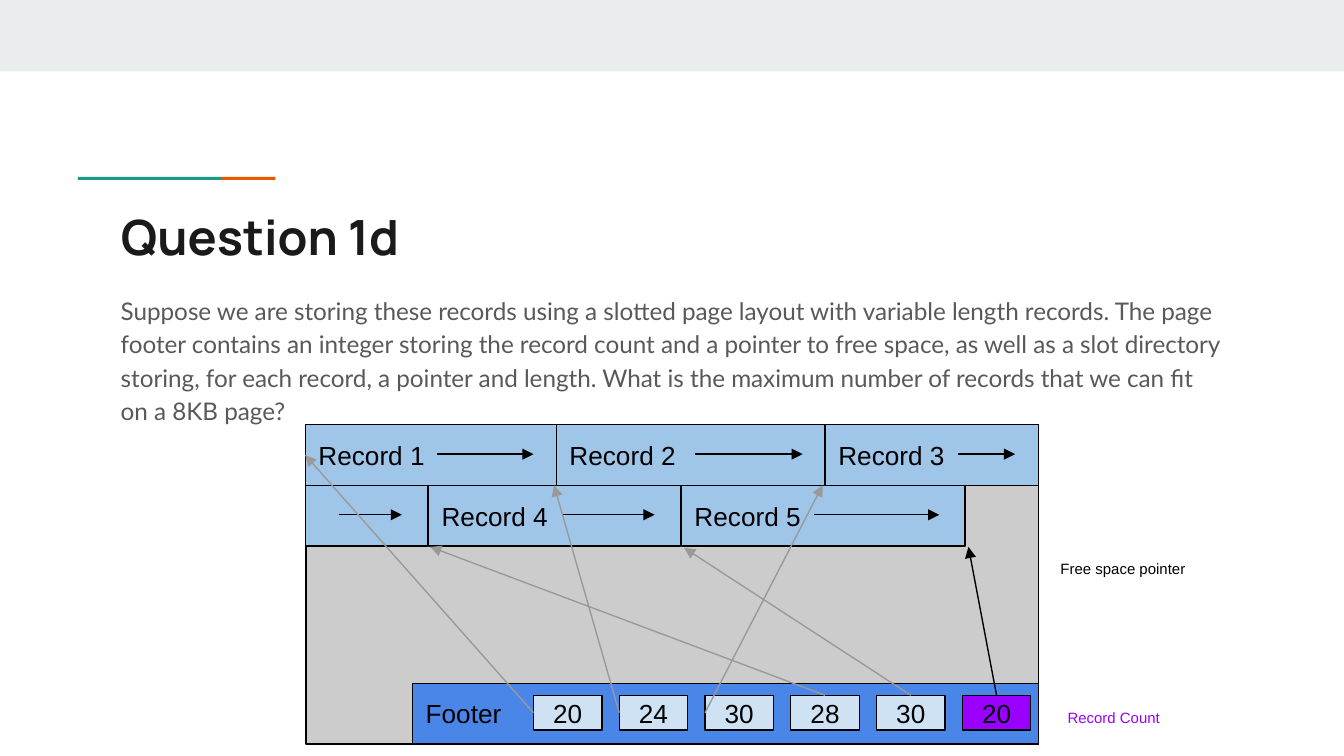
from lxml import etree
from pptx import Presentation
from pptx.dml.color import RGBColor
from pptx.enum.shapes import MSO_CONNECTOR, MSO_SHAPE
from pptx.enum.text import MSO_ANCHOR, MSO_AUTO_SIZE, PP_ALIGN
from pptx.oxml.ns import qn
from pptx.util import Pt

RECT, STRAIGHT = MSO_SHAPE.RECTANGLE, MSO_CONNECTOR.STRAIGHT
TOP, MIDDLE = MSO_ANCHOR.TOP, MSO_ANCHOR.MIDDLE
LEFT, CENTER = PP_ALIGN.LEFT, PP_ALIGN.CENTER
NO_FIT = MSO_AUTO_SIZE.NONE
SIDE_TOP, SIDE_LEFT = 0, 1

BLACK = RGBColor(0x00, 0x00, 0x00)
INK = RGBColor(0x1A, 0x1A, 0x1A)
BODY_GRAY = RGBColor(0x59, 0x59, 0x59)
BAND = RGBColor(0xE9, 0xED, 0xEE)
ORANGE = RGBColor(0xEB, 0x56, 0x00)
TEAL = RGBColor(0x1A, 0x99, 0x88)
PAGE_GRAY = RGBColor(0xCC, 0xCC, 0xCC)
RECORD_BLUE = RGBColor(0x9F, 0xC5, 0xE8)
FOOTER_BLUE = RGBColor(0x4A, 0x86, 0xE8)
SLOT_BLUE = RGBColor(0xCF, 0xE2, 0xF3)
PURPLE = RGBColor(0x99, 0x00, 0xFF)
POINTER_GRAY = RGBColor(0x99, 0x99, 0x99)

TITLE_FONT = {"name": "Manrope", "size": Pt(26), "bold": True}
BODY_FONT = {"name": "Lato", "size": Pt(13)}
BOX_FONT = {"name": "Arial", "size": Pt(14)}
NOTE_FONT = {"name": "Arial", "size": Pt(8)}

QUESTION = (
    "Suppose we are storing these records using a slotted page layout with "
    "variable length records. The page footer contains an integer storing the "
    "record count and a pointer to free space, as well as a slot directory "
    "storing, for each record, a pointer and length. What is the maximum number "
    "of records that we can fit on a 8KB page?"
)


class SlideBuilder:
    inset = Pt(7.2)
    line_width = Pt(0.75)

    def __init__(self, slide):
        self.slide = slide
        self.shapes = slide.shapes

    def fill_text(self, sp, text, font, color, anchor=TOP, align=LEFT):
        tf = sp.text_frame
        frame = {"word_wrap": True, "auto_size": NO_FIT, "vertical_anchor": anchor,
                 "margin_left": self.inset, "margin_right": self.inset,
                 "margin_top": self.inset, "margin_bottom": self.inset}
        for key, value in frame.items():
            setattr(tf, key, value)
        p = tf.paragraphs[0]
        p.alignment = align
        r = p.add_run()
        r.text = text
        for key, value in font.items():
            setattr(r.font, key, value)
        r.font.color.rgb = color
        return p

    def title(self, text, x, y, w, h):
        sp = self.shapes.title
        sp.left, sp.top, sp.width, sp.height = Pt(x), Pt(y), Pt(w), Pt(h)
        self.fill_text(sp, text, TITLE_FONT, INK)

    def text(self, text, x, y, w, h, font, color):
        sp = self.shapes.add_textbox(Pt(x), Pt(y), Pt(w), Pt(h))
        return self.fill_text(sp, text, font, color)

    def bar(self, x, y, w, h, fill):
        sp = self.shapes.add_shape(RECT, Pt(x), Pt(y), Pt(w), Pt(h))
        sp.shadow.inherit = False
        sp.fill.solid()
        sp.fill.fore_color.rgb = fill
        sp.line.fill.background()
        return sp

    def box(self, x, y, w, h, fill, text="", align=LEFT):
        sp = self.bar(x, y, w, h, fill)
        sp.line.color.rgb = BLACK
        sp.line.width = self.line_width
        if text:
            self.fill_text(sp, text, BOX_FONT, BLACK, MIDDLE, align)
        return sp

    def arrow(self, start, end, color=BLACK, begin=None, finish=None):
        cx = self.shapes.add_connector(STRAIGHT, *map(Pt, start + end))
        if begin:
            cx.begin_connect(*begin)
        if finish:
            cx.end_connect(*finish)
        cx.line.color.rgb = color
        cx.line.width = self.line_width
        sp_pr = cx._element.spPr
        etree.SubElement(sp_pr.find(qn("a:ln")), qn("a:tailEnd"), type="triangle")
        etree.SubElement(sp_pr, qn("a:effectLst"))


def main():
    prs = Presentation()
    prs.slide_width, prs.slide_height = Pt(720), Pt(405)
    s = SlideBuilder(prs.slides.add_slide(prs.slide_layouts[5]))

    s.bar(0, 0, 720, 38.2, BAND)
    s.bar(118.5, 94.8, 29, 1.6, ORANGE)
    s.bar(41.8, 94.8, 76.7, 1.6, TEAL)
    s.title("Question 1d", 57.6, 103.7, 605.5, 42.5)
    p = s.text(QUESTION, 57.6, 149, 605.5, 34.6, BODY_FONT, BODY_GRAY)
    p.line_spacing = 1.15
    p.space_after = Pt(16)

    row_h = 32.5
    row_1, row_2 = 227.5, 227.5 + row_h
    s.box(164, row_1, 392.5, 171, PAGE_GRAY)
    records = [
        ("Record 1", 163.5, row_1, 134.5),
        ("Record 2", 298, row_1, 144),
        ("Record 3", 442, row_1, 114.5),
        ("", 163.5, row_2, 65.5),
        ("Record 4", 229.5, row_2, 135),
        ("Record 5", 365, row_2, 152),
    ]
    record_boxes = [s.box(x, y, w, row_h, RECORD_BLUE, name)
                    for name, x, y, w in records]
    s.box(221, 366, 335.5, row_h, FOOTER_BLUE, "Footer")

    slot_x, slot_y, slot_w, slot_h, slot_step = 285.8, 372.5, 36.7, 18.7, 45.95
    slots = [s.box(slot_x + i * slot_step, slot_y, slot_w, slot_h,
                   PURPLE if i == 5 else SLOT_BLUE, value, CENTER)
             for i, value in enumerate(["20", "24", "30", "28", "30", "20"])]

    flow_1, flow_2 = 243.3, 275.8
    for x1, x2, y in [(234, 285.8, flow_1), (372.2, 430, flow_1),
                      (513.3, 543.8, flow_1), (181.5, 215.3, flow_2),
                      (301, 350.7, flow_2), (436.2, 503.2, flow_2)]:
        s.arrow((x1, y), (x2, y))

    s.text("Record Count", 564.8, 372.5, 77.8, 19.4, NOTE_FONT, PURPLE)
    s.text("Free space pointer", 561, 293.6, 85, 12.2, NOTE_FONT, BLACK)

    pointers = [
        (SIDE_LEFT, (163.5, 243.75), POINTER_GRAY),
        (SIDE_LEFT, (296.8, row_2), POINTER_GRAY),
        (SIDE_LEFT, (440.7, row_2), POINTER_GRAY),
        (SIDE_TOP, (230.5, 293), POINTER_GRAY),
        (SIDE_TOP, (366.5, 293.5), POINTER_GRAY),
        (SIDE_TOP, (518.8, 293), BLACK),
    ]
    for i, (slot, (side, target, color)) in enumerate(zip(slots, pointers)):
        finish = (record_boxes[0], SIDE_LEFT) if i == 0 else None
        s.arrow(target, target, color, (slot, side), finish)

    prs.save("out.pptx")


if __name__ == "__main__":
    main()
